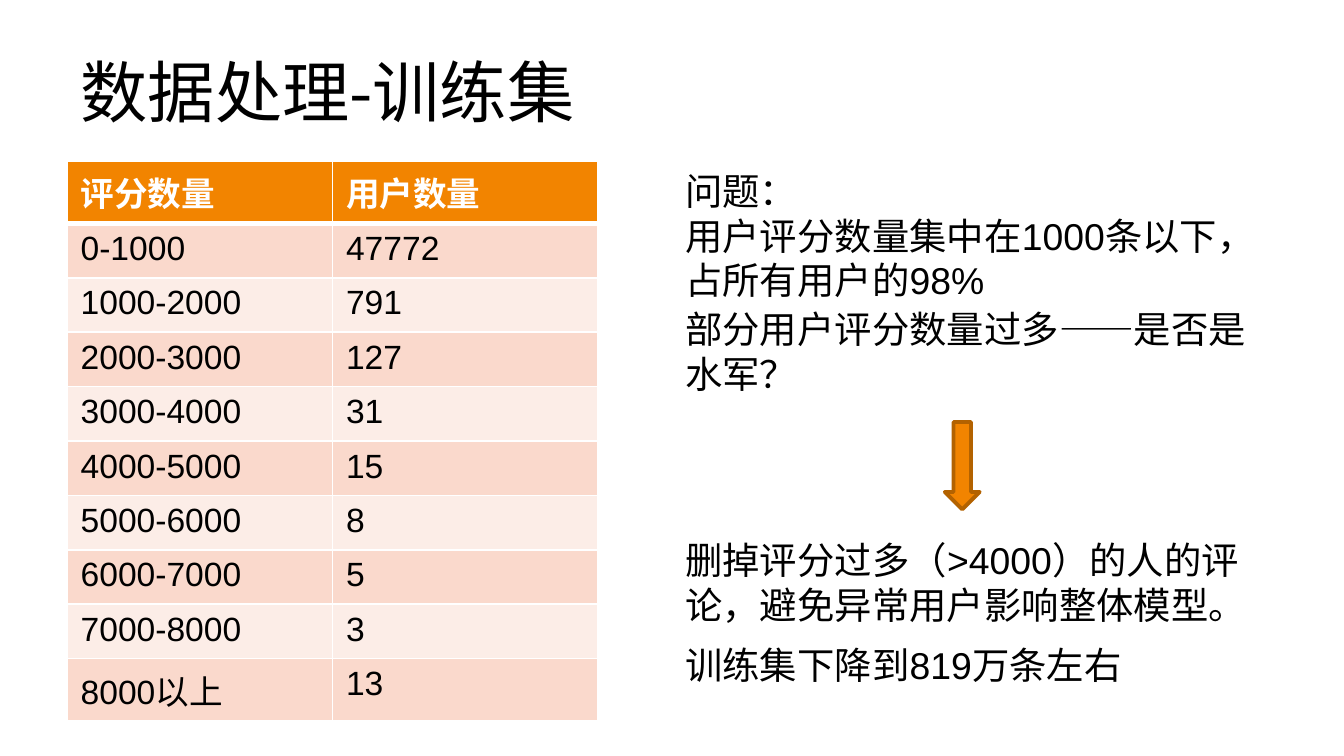
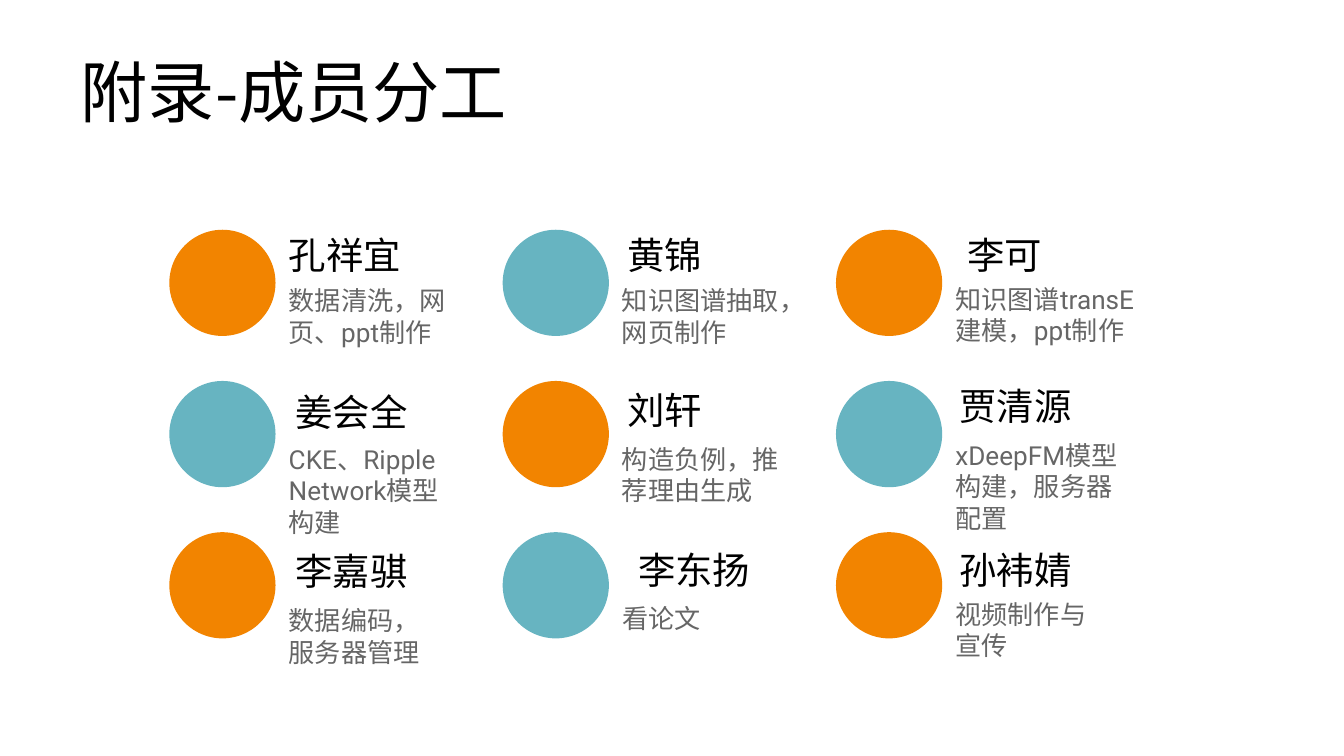
import pptx
import pptx.util
import pptx.dml.color
import pptx.enum.shapes
import pptx.enum.text
import pptx.oxml.ns
from lxml import etree

Inches = pptx.util.Inches
Pt = pptx.util.Pt
SHAPE = pptx.enum.shapes.MSO_SHAPE

ORANGE, TEAL, DARK_ORANGE = "F28400", "67B4C1", "B36200"
BLACK, GREY, WHITE = "000000", "666666", "FFFFFF"
BANDS = ("FAD9CC", "FCEDE7")
CJK_FONT = "Noto Sans CJK SC"

TRAINING_TITLE = "数据处理-训练集"
RATING_ROWS = [
    ("评分数量", "用户数量"),
    ("0-1000", "47772"),
    ("1000-2000", "791"),
    ("2000-3000", "127"),
    ("3000-4000", "31"),
    ("4000-5000", "15"),
    ("5000-6000", "8"),
    ("6000-7000", "5"),
    ("7000-8000", "3"),
    ("8000以上", "13"),
]
FINDINGS = [
    (1.2, 1.11, ["问题：", "用户评分数量集中在1000条以下，占所有用户的98%"]),
    (2.23, 0.77, ["部分用户评分数量过多——是否是水军？"]),
    (3.95, 0.77, ["删掉评分过多（>4000）的人的评论，避免异常用户影响整体模型。"]),
    (4.73, 0.44, ["训练集下降到819万条左右"]),
]

MEMBERS_TITLE = "附录-成员分工"
MEMBERS = [
    ("孔祥宜", (2.05, 1.68), "数据清洗，网页、ppt制作", (2.07, 1.38, 0.57)),
    ("黄锦", (4.57, 1.68), "知识图谱抽取，网页制作", (2.07, 1.37, 0.57)),
    ("李可", (7.1, 1.68), "知识图谱transE建模，ppt制作", (2.06, 1.54, 0.57)),
    ("姜会全", (2.1, 2.85), "CKE、Ripple Network模型构建", (3.25, 1.42, 0.81)),
    ("刘轩", (4.57, 2.83), "构造负例，推荐理由生成", (3.25, 1.37, 0.57)),
    ("贾清源", (7.04, 2.8), "xDeepFM模型构建，服务器配置", (3.22, 1.54, 0.81)),
    ("李嘉骐", (2.1, 4.03), "数据编码，服务器管理", (4.45, 1.18, 0.57)),
    ("李东扬", (4.65, 4.02), "看论文", (4.43, 1.18, 0.34)),
    ("孙袆婧", (7.04, 4.02), "视频制作与宣传", (4.4, 1.18, 0.57)),
]
COLUMNS = 3
CIRCLE = 0.79


def color(value):
    return pptx.dml.color.RGBColor.from_string(value)


def add_span(para, text, size, font, tint, bold=False):
    span = para.add_run()
    span.text = text
    span.font.size = Pt(size)
    span.font.name = font
    span.font.bold = bold
    span.font.color.rgb = color(tint)
    east_asian = etree.SubElement(span._r.get_or_add_rPr(), pptx.oxml.ns.qn("a:ea"))
    east_asian.set("typeface", CJK_FONT)


def add_text(page, place, lines, size=20, font="Arial", tint=BLACK, wrap=True):
    box = page.shapes.add_textbox(*map(Inches, place))
    frame = box.text_frame
    frame.word_wrap = wrap
    frame.auto_size = pptx.enum.text.MSO_AUTO_SIZE.SHAPE_TO_FIT_TEXT
    for index, line in enumerate(lines):
        para = frame.add_paragraph() if index else frame.paragraphs[0]
        add_span(para, line, size, font, tint)


def add_figure(page, kind, place, fill, line=None):
    figure = page.shapes.add_shape(kind, *map(Inches, place))
    figure.shadow.inherit = False
    figure.fill.solid()
    figure.fill.fore_color.rgb = color(fill)
    if line:
        figure.line.color.rgb = color(line)
        figure.line.width = Pt(2)
    else:
        figure.line.fill.background()


def add_page(deck, title):
    page = deck.slides.add_slide(deck.slide_layouts[5])
    heading = page.shapes.title
    heading.left, heading.top = Inches(0.5), Inches(0.25)
    heading.width, heading.height = Inches(9), Inches(0.79)
    heading.text_frame.vertical_anchor = pptx.enum.text.MSO_ANCHOR.MIDDLE
    para = heading.text_frame.paragraphs[0]
    para.alignment = pptx.enum.text.PP_ALIGN.LEFT
    para.line_spacing = 1.1
    add_span(para, title, 36, CJK_FONT, BLACK)
    return page


def set_borders(cell, widths):
    properties = cell._tc.get_or_add_tcPr()
    for side, width in widths.items():
        edge = etree.SubElement(properties, pptx.oxml.ns.qn(f"a:ln{side}"), w=str(Pt(width)))
        fill = etree.SubElement(edge, pptx.oxml.ns.qn("a:solidFill"))
        etree.SubElement(fill, pptx.oxml.ns.qn("a:srgbClr"), val=WHITE)


def add_rating_table(page):
    frame = page.shapes.add_table(
        len(RATING_ROWS), 2, Inches(0.5), Inches(1.2), Inches(3.95), Inches(4.05))
    table = frame.table
    table.rows[0].height = Inches(0.2)
    for row, values in enumerate(RATING_ROWS):
        header = row == 0
        for column, value in enumerate(values):
            cell = table.cell(row, column)
            top = 3 if row == 1 else 1
            bottom = 3 if header else 1
            set_borders(cell, {"L": 1, "R": 1, "T": top, "B": bottom})
            cell.fill.solid()
            cell.fill.fore_color.rgb = color(ORANGE if header else BANDS[(row - 1) % 2])
            add_span(cell.text_frame.paragraphs[0], value, 18, "Arial",
                     WHITE if header else BLACK, header)


def build_training_page(deck):
    page = add_page(deck, TRAINING_TITLE)
    add_rating_table(page)
    for top, height, lines in FINDINGS:
        add_text(page, (5, top, 4.57, height), lines)
    add_figure(page, SHAPE.DOWN_ARROW, (7.03, 3.14, 0.26, 0.65), ORANGE, DARK_ORANGE)


def build_members_page(deck):
    page = add_page(deck, MEMBERS_TITLE)
    for index, (name, name_at, role, (role_top, width, height)) in enumerate(MEMBERS):
        row, column = divmod(index, COLUMNS)
        left = 1.26 + 2.48 * column
        top = 1.71 + 2.25 * row / 2
        add_figure(page, SHAPE.OVAL, (left, top, CIRCLE, CIRCLE), (ORANGE, TEAL)[index % 2])
        add_text(page, (*name_at, 0.2 + 0.28 * len(name), 0.44), [name], wrap=False)
        add_text(page, (left + CIRCLE, role_top, width, height), [role], 14, "Roboto", GREY)


def main():
    deck = pptx.Presentation()
    deck.slide_width = Inches(10)
    deck.slide_height = deck.slide_width * 9 // 16
    build_training_page(deck)
    build_members_page(deck)
    deck.save("out.pptx")


if __name__ == "__main__":
    main()
